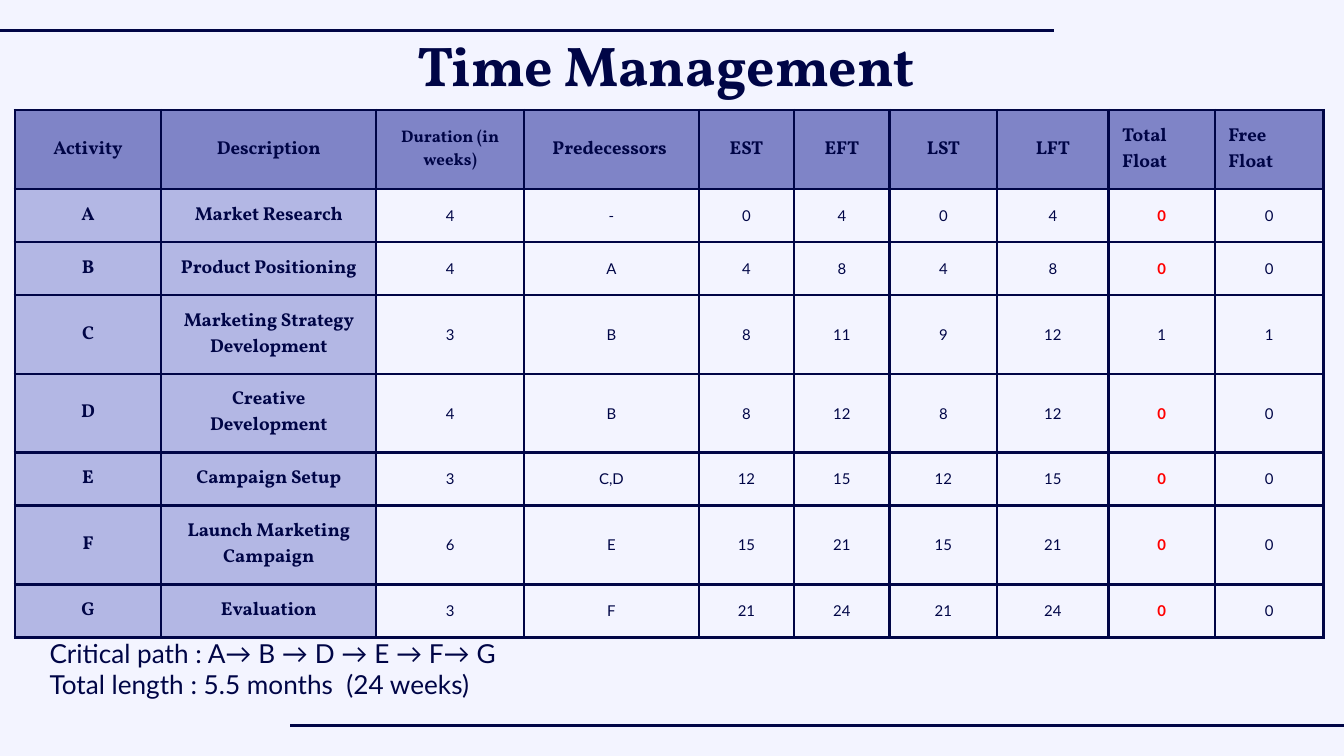
import pptx
import pptx.dml.color
import pptx.enum.shapes
import pptx.enum.text
import pptx.oxml
import pptx.oxml.ns
import pptx.util

Inches = pptx.util.Inches
Pt = pptx.util.Pt
PP_ALIGN = pptx.enum.text.PP_ALIGN
MSO_ANCHOR = pptx.enum.text.MSO_ANCHOR

COLORS = {
    "background": "F3F4FF",
    "ink": "000546",
    "header": "7F84C7",
    "label": "B3B7E4",
    "critical": "FF0000",
}

TITLE = "Time Management "
HEADERS = ["Activity", "Description", "Duration (in weeks)", "Predecessors ",
           "EST", "EFT", "LST", "LFT", "Total Float", "Free Float"]
ACTIVITIES = [
    ("A", "Market Research", 4, "-", 0, 4, 0, 4, 0, 0),
    ("B", "Product Positioning", 4, "A", 4, 8, 4, 8, 0, 0),
    ("C", "Marketing Strategy Development", 3, "B", 8, 11, 9, 12, 1, 1),
    ("D", "Creative Development", 4, "B", 8, 12, 8, 12, 0, 0),
    ("E", "Campaign Setup", 3, "C,D", 12, 15, 12, 15, 0, 0),
    ("F", "Launch Marketing Campaign", 6, "E", 15, 21, 15, 21, 0, 0),
    ("G", "Evaluation", 3, "F", 21, 24, 21, 24, 0, 0),
]
SUMMARY = ["Critical path : A→ B → D → E → F→ G",
           "Total length : 5.5 months  (24 weeks)"]

SLIDE_WIDTH = Inches(10)
SLIDE_HEIGHT = SLIDE_WIDTH * 9 // 16
COLUMN_WIDTHS = [1.09, 1.6, 1.1, 1.3, 0.71, 0.71, 0.8, 0.83, 0.79, 0.81]
ROW_HEIGHTS = [0.46, 0.37, 0.37, 0.46, 0.46, 0.32, 0.46, 0.32]
RULES = [(0, 7.84, 0.23), (2.16, 10, 5.4)]  # left, right, top

DURATION_COLUMN = 2
TOTAL_FLOAT_COLUMN = 8
RULE_WIDTH = Pt(1.5)

HEADING_FONT = {"name": "Vollkorn", "size": Pt(10), "bold": True}
VALUE_FONT = {"name": "Lato", "size": Pt(8), "bold": False}
MARGINS = {f"margin_{side}": Inches(0.1) for side in ("left", "right", "top", "bottom")}
FRAME_FORMAT = {**MARGINS, "word_wrap": True, "vertical_anchor": MSO_ANCHOR.TOP,
                "auto_size": pptx.enum.text.MSO_AUTO_SIZE.NONE}
CELL_FORMAT = {**MARGINS, "vertical_anchor": MSO_ANCHOR.MIDDLE}


def rgb(color):
    return pptx.dml.color.RGBColor.from_string(COLORS[color])


def apply_format(target, values):
    for name, value in values.items():
        setattr(target, name, value)


def write_text(text_frame, lines, font, alignment, color="ink"):
    text_frame.text = "\n".join(lines)
    for paragraph in text_frame.paragraphs:
        paragraph.alignment = alignment
        apply_format(paragraph.font, font)
        paragraph.font.color.rgb = rgb(color)


def add_rule(slide, left, right, top):
    rule = slide.shapes.add_connector(
        pptx.enum.shapes.MSO_CONNECTOR.STRAIGHT,
        Inches(left), Inches(top), Inches(right), Inches(top))
    rule.line.color.rgb = rgb("ink")
    rule.line.width = RULE_WIDTH
    rule.element.spPr.append(pptx.oxml.parse_xml(
        f"<a:effectLst {pptx.oxml.ns.nsdecls('a')}/>"))


def add_borders(cell):
    """Must run before the cell is filled, as borders precede the fill in XML."""
    properties = cell._tc.get_or_add_tcPr()
    for side in "LRTB":
        properties.append(pptx.oxml.parse_xml(
            f"<a:ln{side} {pptx.oxml.ns.nsdecls('a')} w='{RULE_WIDTH}'><a:solidFill>"
            f"<a:srgbClr val='{COLORS['ink']}'/></a:solidFill></a:ln{side}>"))


def cell_style(row, column, value):
    """Return the font, alignment, text colour and fill colour of a cell."""
    if row == 0:
        font = dict(HEADING_FONT)
        if column == DURATION_COLUMN:
            font["size"] = Pt(9)
        alignment = PP_ALIGN.LEFT if column >= TOTAL_FLOAT_COLUMN else PP_ALIGN.CENTER
        return font, alignment, "ink", "header"
    if column < DURATION_COLUMN:
        return HEADING_FONT, PP_ALIGN.CENTER, "ink", "label"
    if column == TOTAL_FLOAT_COLUMN and value == 0:
        return {**VALUE_FONT, "bold": True}, PP_ALIGN.CENTER, "critical", None
    return VALUE_FONT, PP_ALIGN.CENTER, "ink", None


def add_schedule(slide):
    rows = [HEADERS, *ACTIVITIES]
    table = slide.shapes.add_table(
        len(rows), len(HEADERS), Inches(0.11), Inches(0.82),
        Inches(sum(COLUMN_WIDTHS)), Inches(sum(ROW_HEIGHTS))).table
    table.horz_banding = False
    for column, width in zip(table.columns, COLUMN_WIDTHS):
        column.width = Inches(width)
    for row, height in zip(table.rows, ROW_HEIGHTS):
        row.height = Inches(height)

    for row_index, values in enumerate(rows):
        for column_index, value in enumerate(values):
            cell = table.cell(row_index, column_index)
            font, alignment, color, fill = cell_style(row_index, column_index, value)
            apply_format(cell, CELL_FORMAT)
            add_borders(cell)
            if fill:
                cell.fill.solid()
                cell.fill.fore_color.rgb = rgb(fill)
            else:
                cell.fill.background()
            write_text(cell.text_frame, [str(value)], font, alignment, color)


def main():
    presentation = pptx.Presentation()
    presentation.slide_width = SLIDE_WIDTH
    presentation.slide_height = SLIDE_HEIGHT
    slide = presentation.slides.add_slide(
        presentation.slide_layouts.get_by_name("Title Only"))
    slide.background.fill.solid()
    slide.background.fill.fore_color.rgb = rgb("background")

    for rule in RULES:
        add_rule(slide, *rule)
    add_schedule(slide)

    title = slide.shapes.title
    apply_format(title, {"left": Inches(0.87), "top": Inches(0.13),
                         "width": Inches(8.26), "height": Inches(0.53)})
    apply_format(title.text_frame, FRAME_FORMAT)
    write_text(title.text_frame, [TITLE], {**HEADING_FONT, "size": Pt(30)},
               PP_ALIGN.CENTER)

    summary = slide.shapes.add_textbox(
        Inches(0.27), Inches(4.64), Inches(6.79), Inches(0.27))
    apply_format(summary.text_frame, FRAME_FORMAT)
    write_text(summary.text_frame, SUMMARY, {**VALUE_FONT, "size": Pt(14)},
               PP_ALIGN.LEFT)

    presentation.save("out.pptx")


if __name__ == "__main__":
    main()
